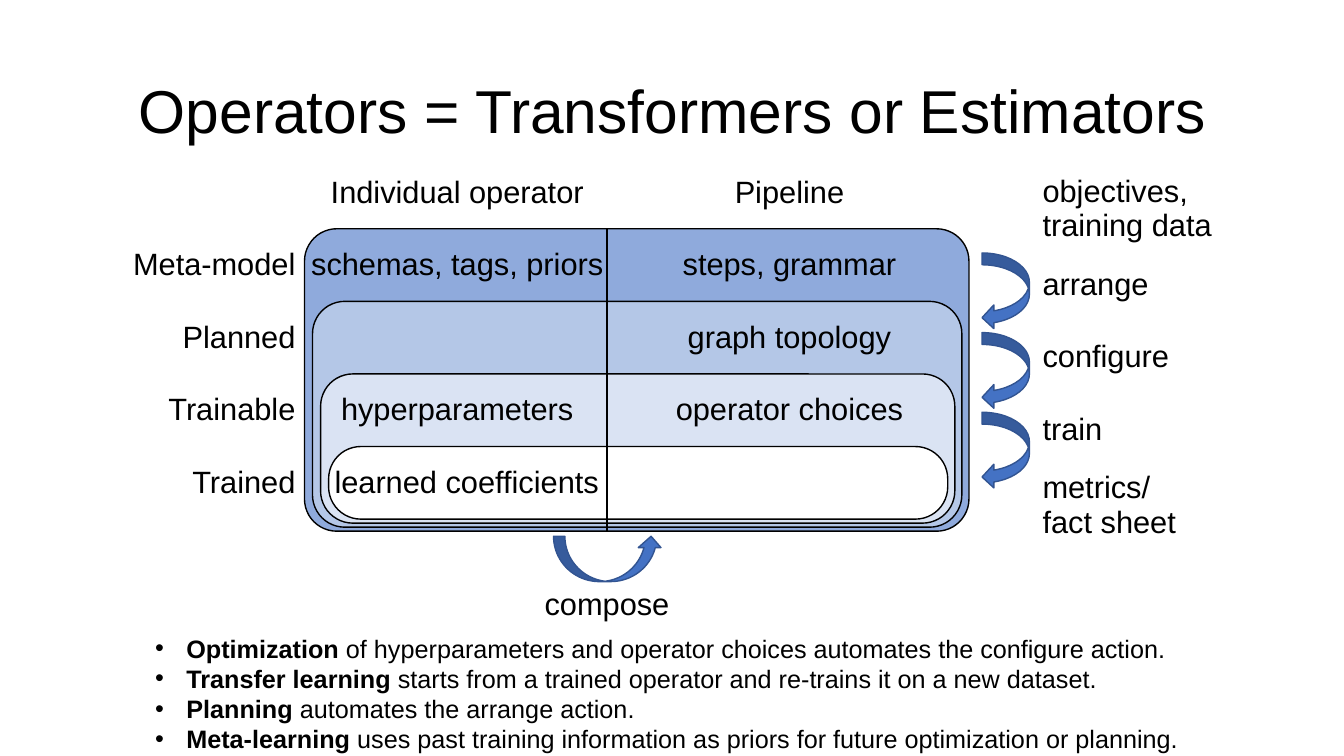
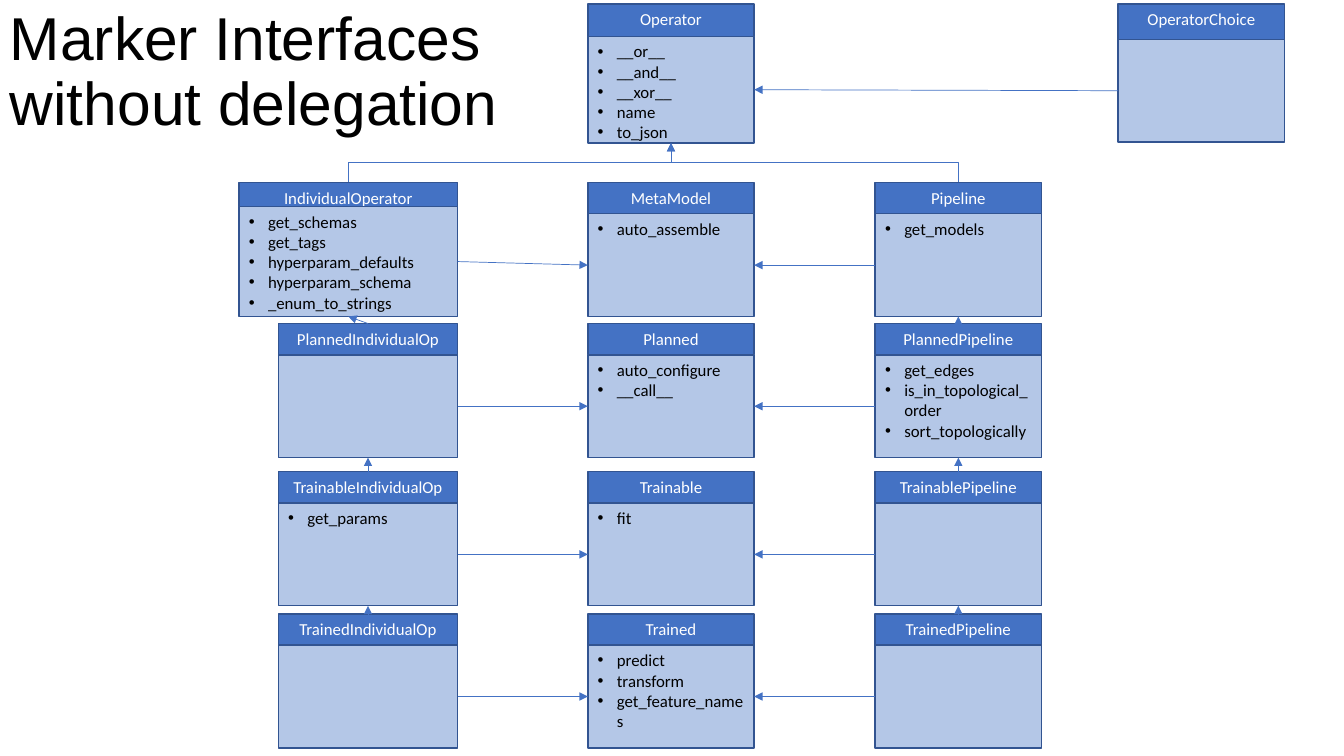
from lxml import etree
from pptx import Presentation
from pptx.dml.color import RGBColor
from pptx.enum.shapes import MSO_CONNECTOR as CONN, MSO_SHAPE as SHAPE
from pptx.enum.text import MSO_ANCHOR as ANCHOR, PP_ALIGN as ALIGN
from pptx.oxml.ns import qn
from pptx.util import Emu, Pt

PX = 9144  # EMU; 100 px to the inch
BLACK, WHITE = "000000", "FFFFFF"
BLUE, DARK_BLUE, LIGHT_BLUE = "4472C4", "325491", "B4C7E7"
LEVEL_FILLS = ["8FAADC", LIGHT_BLUE, "DAE3F3", WHITE]
HEAD_FONT, BODY_FONT = "Arial", "Calibri"
ROW_H = 72
TABLE_SIZE = 22
NO_STYLE_NO_GRID = "{2D5ABB26-0587-4C30-8999-92F81FD0307C}"
TOP, LEFT, BOTTOM, RIGHT = range(4)  # connection sites of a rectangle


def px(*values):
    return [Emu(round(v * PX)) for v in values]


def rgb(color):
    return RGBColor.from_string(color)


def style_text(tf, size, font, color=BLACK, align=None):
    for p in tf.paragraphs:
        if align is not None:
            p.alignment = align
        for r in p.runs:
            r.font.size = Pt(size)
            r.font.name = font
            r.font.color.rgb = rgb(color)


def bullet(p, indent):
    pPr = p._p.get_or_add_pPr()
    pPr.set("marL", str(indent * PX))
    pPr.set("indent", str(-indent * PX))
    etree.SubElement(pPr, qn("a:buFont")).set("typeface", "Arial")
    etree.SubElement(pPr, qn("a:buChar")).set("char", "•")


def add_box(s, kind, x, y, w, h, fill, line=DARK_BLUE):
    sp = s.shapes.add_shape(kind, *px(x, y, w, h))
    sp.shadow.inherit = False
    sp.fill.solid()
    sp.fill.fore_color.rgb = rgb(fill)
    sp.line.color.rgb = rgb(line)
    sp.line.width = Pt(1)
    sp.text_frame.vertical_anchor = ANCHOR.TOP
    return sp


def style_line(cxn, color, width, arrow=False):
    cxn.line.color.rgb = rgb(color)
    cxn.line.width = Pt(width)
    spPr = cxn.element.spPr
    if arrow:
        etree.SubElement(spPr.find(qn("a:ln")), qn("a:tailEnd")).set("type", "triangle")
    etree.SubElement(spPr, qn("a:effectLst"))


def add_title(s, text, x, w, align):
    tf = s.shapes.add_textbox(*px(x[0], x[1], w, 145)).text_frame
    tf.word_wrap = True
    tf.vertical_anchor = ANCHOR.MIDDLE
    tf.text = text
    tf.paragraphs[0].line_spacing = 0.9
    style_text(tf, 43.2, HEAD_FONT, align=align)


def add_plain_table(s, x, y, widths, rows, aligns):
    """Add a table without fills or borders, aligned by column."""
    frame = s.shapes.add_table(len(rows), len(widths),
                               *px(x, y, sum(widths), ROW_H * len(rows)))
    table = frame.table
    table.first_row = table.horz_banding = False
    table._tbl.tblPr.find(qn("a:tableStyleId")).text = NO_STYLE_NO_GRID
    for column, width in zip(table.columns, widths):
        column.width = px(width)[0]
    for i, row in enumerate(rows):
        for j, text in enumerate(row):
            cell = table.cell(i, j)
            cell.fill.background()
            cell.vertical_anchor = ANCHOR.MIDDLE
            cell.text = text
            style_text(cell.text_frame, TABLE_SIZE, HEAD_FONT, align=aligns[j])
    return table


def add_levels(s, x, y, w, h):
    """Nest one rounded box per level and split them all down the middle."""
    for i, fill in enumerate(LEVEL_FILLS):
        height = h - (ROW_H + 4) * i
        sp = add_box(s, SHAPE.ROUNDED_RECTANGLE, x + 8 * i, y + ROW_H * i,
                     w - 15 * i, height, fill, BLACK)
        sp.adjustments[0] = 32 / height
    divider = s.shapes.add_connector(CONN.STRAIGHT, *px(x + 300, y, x + 300, y + h))
    style_line(divider, BLACK, 1)


def add_actions(s, x, y):
    for i in range(3):
        add_box(s, SHAPE.CURVED_LEFT_ARROW, x, y + 83 + 79 * i, 47, 76, BLUE)
    labels = ["objectives,\vtraining data", "arrange", "configure", "train",
              "metrics/\vfact sheet"]
    add_plain_table(s, x + 50, y, [189], [[label] for label in labels], [ALIGN.LEFT])


def add_compose(s, x, y):
    add_box(s, SHAPE.CURVED_UP_ARROW, x + 27, y, 108, 45, BLUE)
    add_plain_table(s, x, y + 32, [160], [["compose"]], [ALIGN.CENTER])


def add_operator_table(s, x, y):
    rows = [
        ["", "Individual operator", "Pipeline"],
        ["Meta-model", "schemas, tags, priors", "steps, grammar"],
        ["Planned", "", "graph topology"],
        ["Trainable", "hyperparameters", "operator choices"],
        ["Trained", "learned coefficients", ""],
    ]
    table = add_plain_table(s, x, y, [193, 301, 358], rows,
                            [ALIGN.RIGHT, ALIGN.CENTER, ALIGN.CENTER])
    priors = table.cell(1, 1)
    priors.margin_left = priors.margin_right = 0
    table.cell(4, 1).text_frame.paragraphs[0].alignment = ALIGN.RIGHT


def add_summary(s, x, y, w, h):
    points = [
        ("Optimization", " of hyperparameters and operator choices automates the configure action."),
        ("Transfer learning ", "starts from a trained operator and re-trains it on a new dataset."),
        ("Planning", " automates the arrange action."),
        ("Meta-learning", " uses past training information as priors for future optimization or planning."),
    ]
    tf = s.shapes.add_textbox(*px(x, y, w, h)).text_frame
    tf.word_wrap = True
    for i, (term, rest) in enumerate(points):
        p = tf.paragraphs[0] if i == 0 else tf.add_paragraph()
        bullet(p, 31)
        for text, bold in ((term, True), (rest, False)):
            r = p.add_run()
            r.text = text
            r.font.bold = bold
    style_text(tf, 18, HEAD_FONT)


def add_class(s, name, members, x, y, w=165, head_h=31, body_h=102):
    """Add a class box and return its header and body."""
    head = add_box(s, SHAPE.RECTANGLE, x, y, w, head_h, BLUE)
    head.text_frame.text = name
    style_text(head.text_frame, 12, BODY_FONT, WHITE, ALIGN.CENTER)
    body = add_box(s, SHAPE.RECTANGLE, x, y + head_h, w, body_h, LIGHT_BLUE)
    if members:
        tf = body.text_frame
        tf.text = "\n".join(members)
        style_text(tf, 12, BODY_FONT, align=ALIGN.LEFT)
        for p in tf.paragraphs:
            bullet(p, 19)
    return head, body


def connect(s, start, start_site, end, end_site, kind=CONN.STRAIGHT):
    cxn = s.shapes.add_connector(kind, 0, 0, 0, 0)
    cxn.begin_connect(start, start_site)
    cxn.end_connect(end, end_site)
    style_line(cxn, BLUE, 0.5, arrow=True)
    return cxn


def connect_upward(s, child, parent):
    """Join top to bottom with an elbow that leaves the child vertically."""
    cxn = connect(s, child, TOP, parent, BOTTOM, CONN.ELBOW)
    from_right = cxn.begin_x > cxn.end_x
    x, y, w, h = cxn.left, cxn.top, cxn.width, cxn.height
    cxn.left, cxn.top = x + (w - h) // 2, y + (h - w) // 2
    cxn.width, cxn.height = h, w
    xfrm = cxn.element.spPr.find(qn("a:xfrm"))
    xfrm.set("rot", "16200000")
    xfrm.set("flipH", "0")
    xfrm.set("flipV", "1" if from_right else "0")


def add_class_rows(s, x, y, operator):
    """Add the three class columns under the operator class."""
    rows = [
        (0, ("IndividualOperator", ["get_schemas", "get_tags", "hyperparam_defaults",
                                    "hyperparam_schema", "_enum_to_strings"]),
         ("MetaModel", ["auto_assemble"]), ("Pipeline", ["get_models"])),
        (140, ("PlannedIndividualOp", []), ("Planned", ["auto_configure", "__call__"]),
         ("PlannedPipeline", ["get_edges", "is_in_topological_order",
                              "sort_topologically"])),
        (287, ("TrainableIndividualOp", ["get_params"]), ("Trainable", ["fit"]),
         ("TrainablePipeline", [])),
        (428, ("TrainedIndividualOp", []),
         ("Trained", ["predict", "transform", "get_feature_names"]),
         ("TrainedPipeline", [])),
    ]
    above = None
    for dy, individual, marker, pipeline in rows:
        if above is None:
            left = add_class(s, *individual, x, y, 217, 24, 109)
        else:
            left = add_class(s, *individual, x + 39, y + dy, 178)
        middle = add_class(s, *marker, x + 346, y + dy)
        right = add_class(s, *pipeline, x + 631, y + dy)
        connect(s, left[1], RIGHT, middle[1], LEFT)
        connect(s, right[1], LEFT, middle[1], RIGHT)
        for i, (head, _) in enumerate((left, right)):
            if above is None:
                connect_upward(s, head, operator)
            else:
                connect(s, head, TOP, above[i], BOTTOM)
        above = left[1], right[1]


def operators_slide(s):
    add_levels(s, 302, 227, 659, 300)
    add_actions(s, 974, 168)
    add_compose(s, 522, 532)
    add_title(s, "Operators = Transformers or Estimators", (92, 40), 1150, ALIGN.CENTER)
    add_operator_table(s, 110, 155)
    add_summary(s, 144, 623, 1045, 127)


def interfaces_slide(s):
    members = ["__or__", "__and__", "__xor__", "name", "to_json"]
    _, operator = add_class(s, "Operator", members, 583, 4, head_h=32, body_h=106)
    _, choice = add_class(s, "OperatorChoice", [], 1109, 4, head_h=35)
    connect(s, choice, LEFT, operator, RIGHT)
    add_class_rows(s, 237, 181, operator)
    add_title(s, "Marker Interfaces\vwithout delegation", (0, 0), 560, ALIGN.LEFT)


def main():
    prs = Presentation()
    prs.slide_width, prs.slide_height = px(1333, 750)
    for build in (operators_slide, interfaces_slide):
        build(prs.slides.add_slide(prs.slide_layouts[6]))
    prs.save("out.pptx")


if __name__ == "__main__":
    main()
